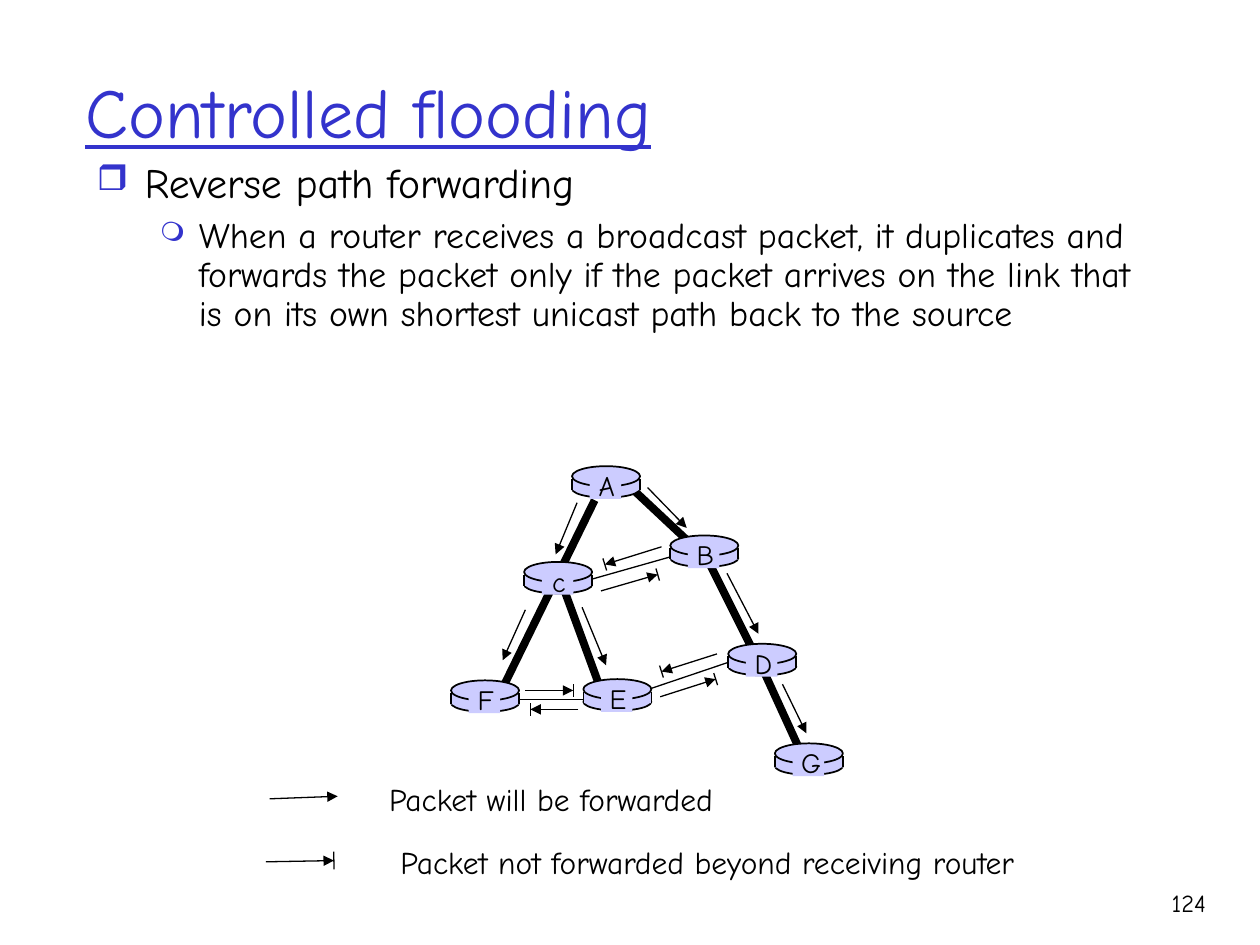
"""Build the slide on controlled flooding with reverse path forwarding."""
import math
from dataclasses import dataclass

from lxml import etree
from pptx import Presentation
from pptx.dml.color import RGBColor
from pptx.enum import shapes, text
from pptx.oxml import ns
from pptx.util import Pt


@dataclass(frozen=True)
class Theme:
    font: str = "Comic Neue"
    ink: str = "000000"
    accent: str = "3333CC"
    router: str = "CCCCFF"
    title: float = 40
    topic: float = 23.8
    detail: float = 20.4
    legend: float = 18
    router_name: float = 16
    number: float = 14
    thin: float = 0.75
    outline: float = 1
    thick: float = 4.5


theme = Theme()
deck = Presentation()
deck.slide_width, deck.slide_height = Pt(720), Pt(540)
page = deck.slides.add_slide(deck.slide_layouts[6])
COLUMN, ROW = deck.slide_width // 1000, deck.slide_height // 750


def write(words, spot=None, box=None, size=theme.legend, color=theme.ink, align="LEFT",
          anchor="TOP", underline=None, wrap=True, bullet=None, share=100,
          margin=0, hang=0, before=0, spacing=None):
    """Put one paragraph in a new box at spot, or below the text of a given box."""
    if box is None:
        left, top, width, height = spot
        box = page.shapes.add_textbox(left * COLUMN, top * ROW, width * COLUMN, height * ROW)
        box.text_frame.word_wrap = wrap
        box.text_frame.vertical_anchor = getattr(text.MSO_ANCHOR, anchor)
        para = box.text_frame.paragraphs[0]
    else:
        para = box.text_frame.add_paragraph()
    para.alignment = getattr(text.PP_ALIGN, align)
    span = para.add_run()
    span.text = words
    span.font.name, span.font.size, span.font.underline = theme.font, Pt(size), underline
    span.font.color.rgb = RGBColor.from_string(color)
    if bullet:
        para.line_spacing, para.space_before = spacing, Pt(before)
        props = para._p.get_or_add_pPr()
        props.set("marL", str(margin * COLUMN))
        props.set("indent", str(-hang * COLUMN))
        tint = etree.SubElement(props, ns.qn("a:buClr"))
        etree.SubElement(tint, ns.qn("a:srgbClr"), val=theme.accent)
        etree.SubElement(props, ns.qn("a:buSzPct"), val=str(share * 1000))
        etree.SubElement(props, ns.qn("a:buChar"), char=bullet)
    return box


def stroke(x1, y1, x2, y2, weight=theme.thin, arrow=False, bar=0):
    """Draw a line, with an arrowhead and a crossing bar at its end if asked."""
    line = page.shapes.add_connector(shapes.MSO_CONNECTOR.STRAIGHT, round(x1 * COLUMN),
                                     round(y1 * ROW), round(x2 * COLUMN), round(y2 * ROW))
    line.line.width = Pt(weight)
    line.line.color.rgb = RGBColor.from_string(theme.ink)
    etree.SubElement(line._element.spPr, ns.qn("a:effectLst"))
    if arrow:
        etree.SubElement(line.line._get_or_add_ln(), ns.qn("a:tailEnd"), type="triangle")
    if bar:
        scale = bar / math.hypot(x2 - x1, y2 - y1)
        across, down = (y1 - y2) * scale, (x2 - x1) * scale
        stroke(x2 - across, y2 - down, x2 + across, y2 + down)


tree_links = [(560, 441, 597, 515), (599, 517, 637, 600), (476, 545, 447, 466),
              (504, 390, 552, 435), (472, 397, 398, 548)]
other_links = [(580, 525, 515, 547), (479, 555, 399, 555), (465, 461, 539, 440)]
for links, weight in ((tree_links, theme.thick), (other_links, theme.thin)):
    for link in links:
        stroke(*link, weight=weight)

routers = {"A": (454, 370), "B": (532, 425), "G": (615, 590), "D": (578, 511),
           "E": (463, 539), "c": (416, 446), "F": (358, 540)}
WIDE, RIM, SIDE = 54, 10, 19
router_parts = [("OVAL", 0, 11, WIDE, 14, True), ("RECTANGLE", 0, RIM, WIDE, SIDE - RIM, False),
                ("OVAL", 0, 0, WIDE, 16, True), ("RECTANGLE", 14, 3, 25, 23, False)]
for name, (left, top) in routers.items():
    for kind, dx, dy, width, height, outlined in router_parts:
        part = page.shapes.add_shape(getattr(shapes.MSO_SHAPE, kind), (left + dx) * COLUMN,
                                     (top + dy) * ROW, width * COLUMN, height * ROW)
        part.shadow.inherit = False
        part.fill.solid()
        part.fill.fore_color.rgb = RGBColor.from_string(theme.router)
        if outlined:
            part.line.width = Pt(theme.outline)
            part.line.color.rgb = RGBColor.from_string(theme.ink)
        else:
            part.line.fill.background()
    for edge in (left, left + WIDE):
        stroke(edge, top + RIM, edge, top + SIDE, weight=theme.outline)
    write(name, (left + 11, top - 3, 33, 37), size=theme.router_name, align="CENTER", wrap=False)

forwarded = [(458, 399, 441, 440), (417, 484, 399, 524), (514, 387, 545, 419),
             (577, 455, 602, 503), (621, 543, 640, 582), (462, 482, 481, 528),
             (214, 634, 268, 632)]
for hop in forwarded:
    stroke(*hop, arrow=True)

stopped = [(525, 434, 480, 448), (477, 469, 522, 456), (569, 519, 525, 533),
           (524, 553, 568, 539), (417, 548, 455, 548), (459, 563, 421, 563)]
for hop in stopped:
    stroke(*hop, arrow=True, bar=5)
stroke(211, 684, 265, 683, arrow=True, bar=7)

write("Packet will be forwarded", (299, 614, 280, 40), wrap=False)
write("Packet not forwarded beyond receiving router", (308, 664, 512, 40), wrap=False)
write("Controlled flooding", (58, 25, 850, 125), size=theme.title, color=theme.accent,
      anchor="MIDDLE", underline=True)
body = write("Reverse path forwarding", (67, 124, 850, 191), size=theme.topic, bullet="❒",
             share=85, margin=38, hang=38, before=7, spacing=0.9)
write("When a router receives a broadcast packet, it duplicates and forwards the packet only "
      "if the packet arrives on the link that is on its own shortest unicast path back to the "
      "source", box=body, size=theme.detail, bullet="❍", share=75, margin=81, hang=31,
      before=6, spacing=0.9)
write("124", (893, 700, 74, 50), size=theme.number, align="RIGHT")

deck.save("out.pptx")
